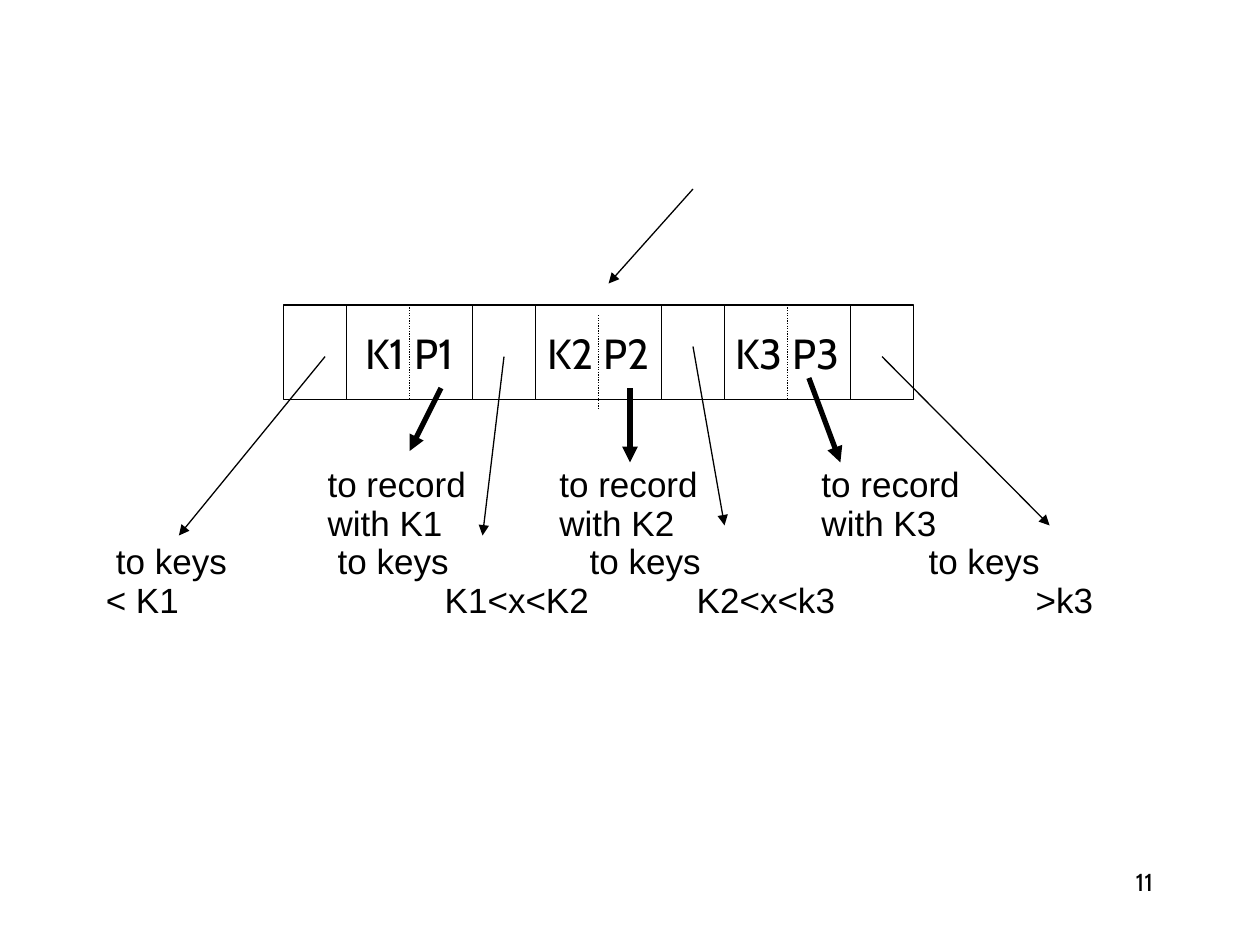
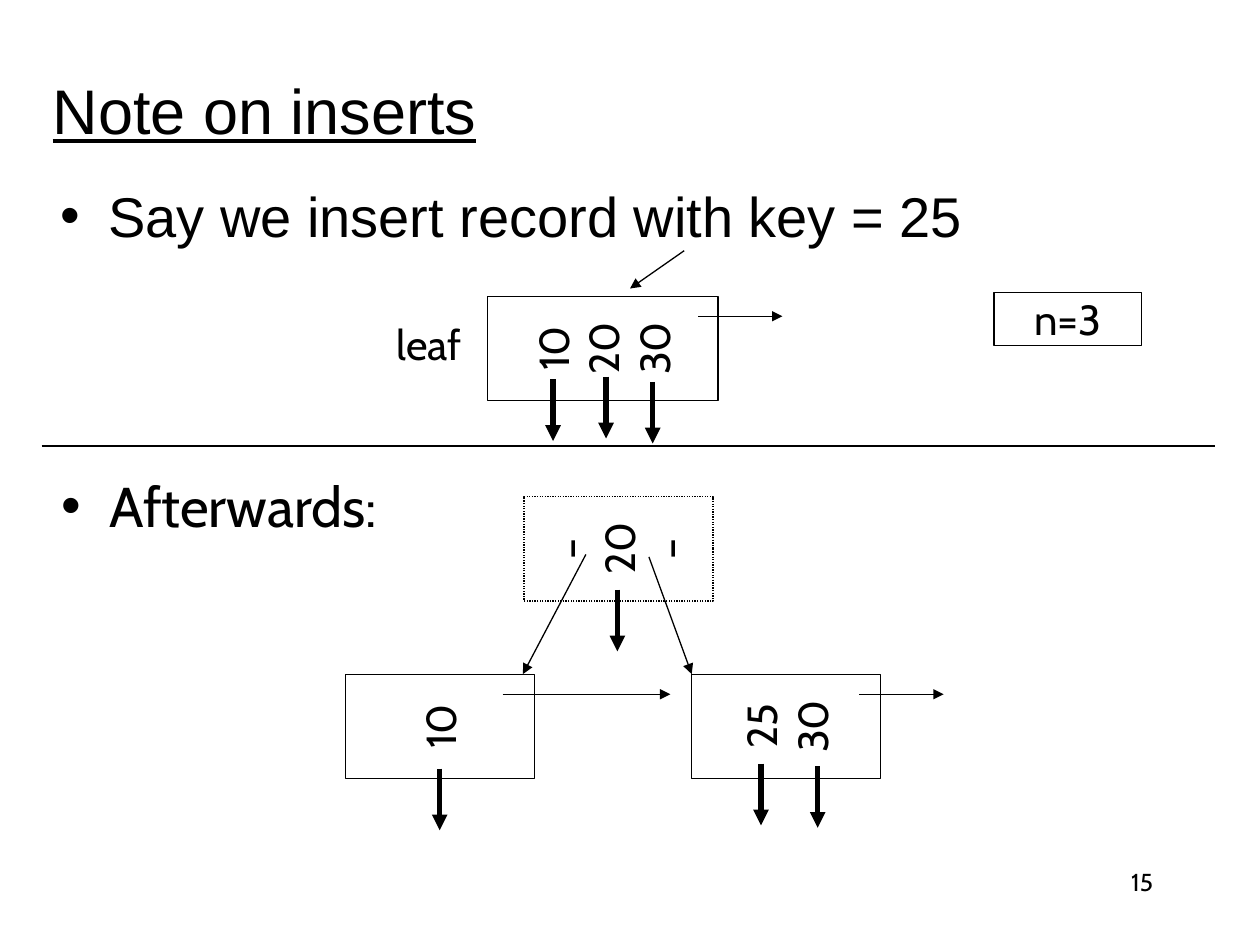
from typing import Any, NamedTuple, Optional

from lxml.etree import SubElement
from pptx import Presentation
from pptx.dml.color import RGBColor
from pptx.enum.dml import MSO_LINE
from pptx.enum.shapes import MSO_CONNECTOR, MSO_SHAPE
from pptx.enum.text import MSO_ANCHOR, PP_ALIGN
from pptx.oxml.ns import qn
from pptx.shapes.autoshape import Shape
from pptx.shapes.connector import Connector
from pptx.slide import Slide
from pptx.util import Inches, Pt

BLACK = RGBColor(0, 0, 0)
WHITE = RGBColor(255, 255, 255)
THIN, THICK = Pt(0.75), Pt(3)

LABEL_FONT = {"name": "Cabin", "size": Pt(24)}
NUMBER_FONT = {"name": "Cabin", "size": Pt(14)}
TITLE_FONT = {"name": "Arial", "size": Pt(36), "underline": True}
BULLET_FONT = {"name": "Arial", "size": Pt(32)}
CAPTION_FONT = {"name": "Arial", "size": Pt(20)}

CENTERED = {"alignment": PP_ALIGN.CENTER}
SLOT_TOP, SLOT_HEIGHT = 2.42, 0.75
POINTER_WIDTH, KEY_WIDTH = 0.5, 1.0
NODE_HEIGHT = 0.83
CAPTION_LEFT = 0.67


class Area(NamedTuple):
    left: float
    top: float
    width: float
    height: float


class Line(NamedTuple):
    x1: float
    y1: float
    x2: float
    y2: float
    width: int = THIN
    arrow: bool = True
    dash: Optional[MSO_LINE] = None


class Node(NamedTuple):
    left: float
    top: float
    width: float
    keys: list[str]
    dash: Optional[MSO_LINE] = None


class CaptionRow(NamedTuple):
    columns: list[float]
    labels: list[str]


RECORD_COLUMNS = [2.6, 4.44, 6.52]
CAPTION_ROWS = [
    CaptionRow(RECORD_COLUMNS, ["to record"] * 3),
    CaptionRow(RECORD_COLUMNS, ["with K1", "with K2", "with K3"]),
    CaptionRow([0.92, 2.68, 4.68, 7.37], ["to keys"] * 4),
    CaptionRow([0.84, 3.53, 5.53, 8.22], ["< K1", "K1<x<K2", "K2<x<k3", ">k3"]),
]

KEY_NODE_LINES = [
    Line(4.75, 2.5, 4.75, 3.25, arrow=False, dash=MSO_LINE.ROUND_DOT),
    Line(3.5, 3.08, 3.25, 3.58, THICK),
    Line(5, 3.08, 5, 3.67, THICK),
    Line(6.42, 3, 6.67, 3.67, THICK),
    Line(2.58, 2.83, 1.42, 4.25),
    Line(4, 2.83, 3.83, 4.25),
    Line(5.5, 2.75, 5.75, 4.17),
    Line(7, 2.83, 8.33, 4.17),
    Line(5.5, 1.5, 4.83, 2.25),
]

INSERT_NODES = [
    Node(3.87, 2.35, 1.83, ["10", "20", "30"]),
    Node(2.74, 5.35, 1.5, ["10"]),
    Node(4.16, 3.94, 1.5, ["–", "20", "–"], MSO_LINE.ROUND_DOT),
    Node(5.49, 5.35, 1.5, ["25", "30"]),
]

RECORD_POINTERS = [(4.39, 3.01), (4.81, 2.99), (5.18, 3.03), (4.9, 4.68),
                   (3.49, 6.1), (6.04, 6.06), (6.49, 6.08)]
RECORD_POINTER_LENGTH = 0.49

INSERT_LINES = [
    Line(5.43, 1.99, 5, 2.29),
    Line(5.54, 2.51, 6.21, 2.51),
    Line(4.65, 4.4, 4.15, 5.35),
    Line(5.15, 4.42, 5.49, 5.35),
    Line(3.99, 5.51, 5.32, 5.51),
    Line(6.82, 5.51, 7.49, 5.51),
    Line(0.33, 3.54, 9.64, 3.54, arrow=False),
]


def apply(target: Any, values: dict[str, Any]) -> None:
    for name, value in values.items():
        setattr(target, name, value)


def write(shape: Shape, lines: list[str], font: dict, paragraph_format: dict,
          frame_format: dict) -> None:
    frame = shape.text_frame
    apply(frame, frame_format)
    frame.text = "\n".join(lines)
    for paragraph in frame.paragraphs:
        apply(paragraph, paragraph_format)
        apply(paragraph.font, font)
        paragraph.font.color.rgb = BLACK


def add_text(slide: Slide, area: Area, lines: list[str], font: dict,
             paragraph_format: dict, **frame_format: Any) -> Shape:
    shape = slide.shapes.add_textbox(*map(Inches, area))
    write(shape, lines, font, paragraph_format, {"word_wrap": True} | frame_format)
    return shape


def add_box(slide: Slide, area: Area, lines: list[str],
            dash: Optional[MSO_LINE] = None) -> Shape:
    shape = slide.shapes.add_shape(MSO_SHAPE.RECTANGLE, *map(Inches, area))
    shape.shadow.inherit = False
    shape.fill.solid()
    shape.fill.fore_color.rgb = WHITE
    shape.line.color.rgb = BLACK
    apply(shape.line, {"width": THIN, "dash_style": dash})
    write(shape, lines, LABEL_FONT, CENTERED,
          {"word_wrap": False, "vertical_anchor": MSO_ANCHOR.MIDDLE})
    return shape


def add_line(slide: Slide, line: Line) -> Connector:
    connector = slide.shapes.add_connector(
        MSO_CONNECTOR.STRAIGHT, *map(Inches, (line.x1, line.y1, line.x2, line.y2)))
    connector.line.color.rgb = BLACK
    apply(connector.line, {"width": line.width, "dash_style": line.dash})
    if line.arrow:
        SubElement(connector.line._get_or_add_ln(), qn("a:tailEnd"), type="triangle")
    SubElement(connector._element.spPr, qn("a:effectLst"))
    return connector


def add_node(slide: Slide, node: Node) -> None:
    left = node.left + (node.width - NODE_HEIGHT) / 2
    top = node.top + (NODE_HEIGHT - node.width) / 2
    shape = add_box(slide, Area(left, top, NODE_HEIGHT, node.width), node.keys, node.dash)
    shape.rotation = 270


def add_bullet(slide: Slide, area: Area, text: str, font: dict) -> None:
    shape = add_text(slide, area, [text], font, {"space_before": Pt(8)})
    properties = shape.text_frame.paragraphs[0]._p.get_or_add_pPr()
    properties.set("marL", str(Inches(0.38)))
    properties.set("indent", str(Inches(-0.38)))
    SubElement(properties, qn("a:buFont"), typeface="Arial")
    SubElement(properties, qn("a:buChar"), char="•")
    run_defaults = properties.find(qn("a:defRPr"))
    if run_defaults is not None:
        properties.append(run_defaults)


def add_captions(slide: Slide) -> None:
    lines = ["".join("\t" + label for label in row.labels) for row in CAPTION_ROWS]
    shape = add_text(slide, Area(CAPTION_LEFT, 3.7, 8.5, 1.25), lines, CAPTION_FONT,
                     {"line_spacing": Pt(22)}, margin_left=0, margin_top=0,
                     margin_right=0, margin_bottom=0)
    for paragraph, row in zip(shape.text_frame.paragraphs, CAPTION_ROWS):
        properties = paragraph._p.get_or_add_pPr()
        tabs = SubElement(properties, qn("a:tabLst"))
        for column in row.columns:
            SubElement(tabs, qn("a:tab"), pos=str(Inches(column - CAPTION_LEFT)), algn="l")
        run_defaults = properties.find(qn("a:defRPr"))
        if run_defaults is not None:
            properties.append(run_defaults)


def add_slide(presentation: Any, number: int) -> Slide:
    slide = presentation.slides.add_slide(presentation.slide_layouts[6])
    add_text(slide, Area(7.17, 6.83, 2.08, 0.5), [str(number)], NUMBER_FONT,
             {"alignment": PP_ALIGN.RIGHT})
    return slide


def build_key_node_slide(presentation: Any) -> None:
    slide = add_slide(presentation, 11)
    add_captions(slide)
    for index in range(4):
        left = 2.25 + index * (POINTER_WIDTH + KEY_WIDTH)
        add_box(slide, Area(left, SLOT_TOP, POINTER_WIDTH, SLOT_HEIGHT), [])
    for index in range(3):
        left = 2.75 + index * (POINTER_WIDTH + KEY_WIDTH)
        key = add_box(slide, Area(left, SLOT_TOP, KEY_WIDTH, SLOT_HEIGHT),
                      [f"K{index + 1} P{index + 1}"])
        if index != 1:
            middle = left + KEY_WIDTH / 2
            divider = add_line(slide, Line(middle, SLOT_TOP, middle, SLOT_TOP + SLOT_HEIGHT,
                                           arrow=False, dash=MSO_LINE.ROUND_DOT))
            divider.begin_connect(key, 0)
            divider.end_connect(key, 2)
    for line in KEY_NODE_LINES:
        add_line(slide, line)


def build_insert_slide(presentation: Any) -> None:
    slide = add_slide(presentation, 15)
    add_text(slide, Area(0.32, 0.24, 8.5, 1.25), ["Note on inserts"], TITLE_FONT, {},
             vertical_anchor=MSO_ANCHOR.MIDDLE)
    add_bullet(slide, Area(0.38, 1.39, 8.5, 0.67),
               "Say we insert record with key = 25", BULLET_FONT)
    add_bullet(slide, Area(0.39, 3.69, 3.11, 0.67), "Afterwards:",
               BULLET_FONT | {"name": "Cabin"})
    add_box(slide, Area(7.89, 2.32, 1.17, 0.42), ["n=3"])
    add_text(slide, Area(3.02, 2.48, 0.77, 0.5), ["leaf"], LABEL_FONT, CENTERED,
             word_wrap=False, vertical_anchor=MSO_ANCHOR.MIDDLE)
    for node in INSERT_NODES:
        add_node(slide, node)
    for x, y in RECORD_POINTERS:
        add_line(slide, Line(x, y, x, y + RECORD_POINTER_LENGTH, THICK))
    for line in INSERT_LINES:
        add_line(slide, line)


def main() -> None:
    presentation = Presentation()
    apply(presentation, {"slide_width": Inches(10), "slide_height": Inches(7.5)})
    build_key_node_slide(presentation)
    build_insert_slide(presentation)
    presentation.save("out.pptx")


if __name__ == "__main__":
    main()
